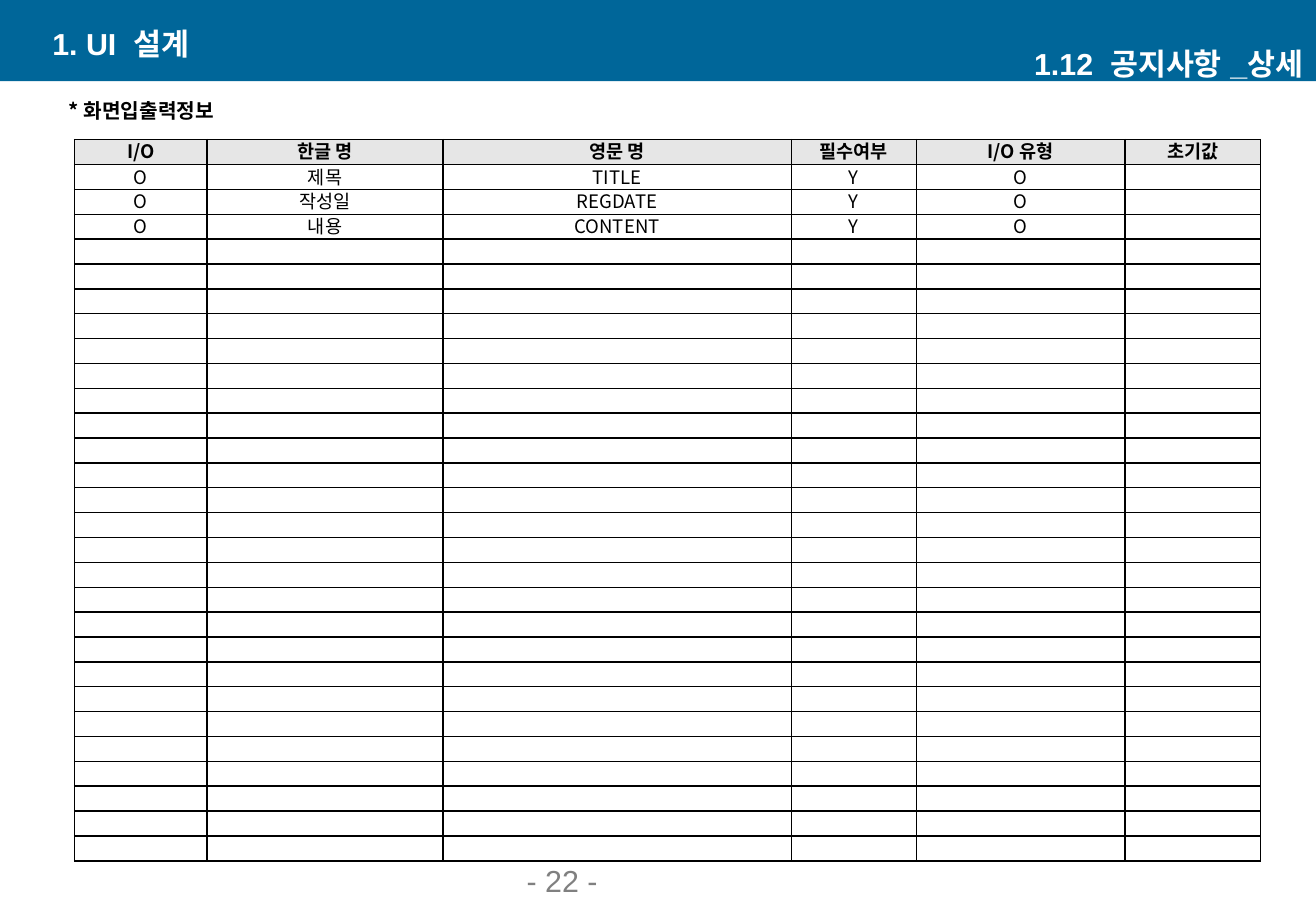
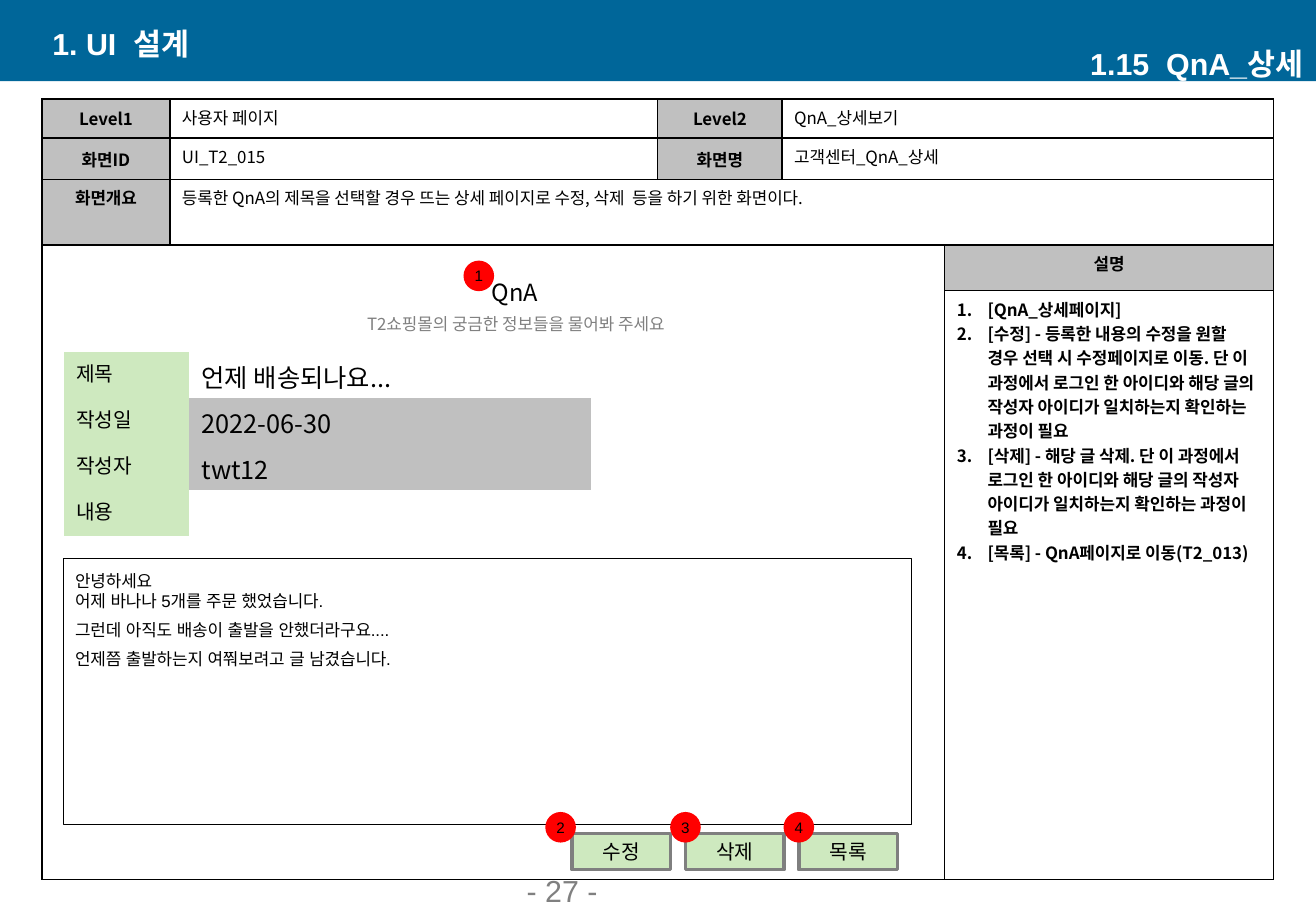
from copy import deepcopy

from lxml.etree import SubElement
from pptx import Presentation
from pptx.dml.color import RGBColor
from pptx.enum.shapes import MSO_SHAPE
from pptx.enum.text import MSO_ANCHOR as ANCHOR, PP_ALIGN as ALIGN
from pptx.oxml.ns import qn
from pptx.util import Cm, Pt

BLUE = RGBColor(0x00, 0x66, 0x99)
WHITE = RGBColor(0xFF, 0xFF, 0xFF)
BLACK = RGBColor(0x00, 0x00, 0x00)
GRAY = RGBColor(0x80, 0x80, 0x80)
EDGE = RGBColor(0x7F, 0x7F, 0x7F)
SILVER = RGBColor(0xC0, 0xC0, 0xC0)
PALE = RGBColor(0xE6, 0xE6, 0xE6)
GREEN = RGBColor(0xCE, 0xE9, 0xBF)
RED = RGBColor(0xFF, 0x00, 0x00)
LATIN, KOREAN = "Arial", "Noto Sans CJK KR"
NO_STYLE = "{2D5ABB26-0587-4C30-8999-92F81FD0307C}"


def write(holder, *texts, size=10, font=KOREAN, color=BLACK, bold=False,
          align=ALIGN.LEFT, anchor=None, line=None, gap=0, numbered=False):
    """Fill a shape or table cell with one paragraph per text."""
    frame = holder.text_frame
    frame.word_wrap = True
    if anchor is not None:
        holder_anchor = holder if hasattr(holder, "vertical_anchor") else frame
        holder_anchor.vertical_anchor = anchor
    for index, text in enumerate(texts):
        para = frame.add_paragraph() if index else frame.paragraphs[0]
        para.text = text
        para.alignment = align
        if line:
            para.line_spacing = Pt(line)
        if index and gap:
            para.space_before = Pt(gap)
        if numbered:
            props = para._p.get_or_add_pPr()
            props.set("marL", str(Cm(0.64)))
            props.set("indent", str(-Cm(0.64)))
            SubElement(props, qn("a:buAutoNum"), type="arabicPeriod")
        for span in para.runs:
            span.font.size, span.font.bold = Pt(size), bold
            span.font.color.rgb = color
            span.font.name = font
            span._r.rPr.set("kern", "0")
            SubElement(span._r.rPr, qn("a:ea"), typeface=font)
        for line_break in para._p.findall(qn("a:br")):
            line_break.append(deepcopy(para.runs[0]._r.rPr))
        if not text:
            SubElement(para._p, qn("a:endParaRPr"), sz=str(size * 100))


def add_grid(page, left, top, widths, heights, border=None):
    """Add an unstyled table, with 1 pt cell borders in the given colour."""
    table = page.shapes.add_table(len(heights), len(widths), Cm(left), Cm(top),
                                  Cm(sum(widths)), Cm(sum(heights))).table
    table._tbl.tblPr.find(qn("a:tableStyleId")).text = NO_STYLE
    table.horz_banding = False
    for column, width in zip(table.columns, widths):
        column.width = Cm(width)
    for row, height in zip(table.rows, heights):
        row.height = Cm(height)
    if border is not None:
        for cell in table.iter_cells():
            props = cell._tc.get_or_add_tcPr()
            for side in ("a:lnL", "a:lnR", "a:lnT", "a:lnB"):
                edge = SubElement(props, qn(side), w=str(Pt(1)))
                fill = SubElement(edge, qn("a:solidFill"))
                SubElement(fill, qn("a:srgbClr"), val=str(border))
    return table


deck = Presentation()
deck.slide_width, deck.slide_height = Cm(27.51), Cm(19.05)

# Shared layout: title position
layout = deck.slide_layouts[5]
heading = layout.placeholders[0]
heading.left, heading.top = Cm(0.84), Cm(0.48)
heading.width, heading.height = Cm(11.13), Cm(0.84)

# Shared page parts: title, screen name, page number
pages = []
for screen, number, number_top in (("1.12  공지사항 _상세", "- 22 -", 18.13),
                                   ("1.15  QnA_상세", "- 27 -", 18.33)):
    page = deck.slides.add_slide(layout)
    write(page.shapes.title, "1. UI  설계", size=18, font=LATIN, color=WHITE,
          bold=True, anchor=ANCHOR.MIDDLE)
    box = page.shapes.add_textbox(Cm(16.36), Cm(0.91), Cm(11.13), Cm(0.84))
    write(box, screen, size=18, font=LATIN, color=WHITE, bold=True,
          align=ALIGN.RIGHT, anchor=ANCHOR.MIDDLE)
    box = page.shapes.add_textbox(Cm(10.76), Cm(number_top), Cm(5.74), Cm(0.79))
    write(box, number, size=18, font=LATIN, color=GRAY, anchor=ANCHOR.BOTTOM)
    pages.append(page)
fields_page, screen_page = pages

# Band, moved into the layout behind its placeholders
band = fields_page.shapes.add_shape(MSO_SHAPE.RECTANGLE, 0, 0, deck.slide_width, Cm(1.7))
band.shadow.inherit = False
band.fill.solid()
band.fill.fore_color.rgb = BLUE
band.line.fill.background()
layout.element.cSld.spTree.insert(2, band.element)

# Slide 1: input and output fields
box = fields_page.shapes.add_textbox(Cm(1.19), Cm(1.94), Cm(3.86), Cm(0.74))
write(box, "* 화면입출력정보", size=12, bold=True)
box.text_frame.word_wrap = False

field_rows = [
    ("I/O", "한글 명", "영문 명", "필수여부", "I/O 유형", "초기값"),
    ("O", "제목", "TITLE", "Y", "O", ""),
    ("O", "작성일", "REGDATE", "Y", "O", ""),
    ("O", "내용", "CONTENT", "Y", "O", ""),
]
row_count = 29
field_rows += [("",) * 6] * (row_count - len(field_rows))
table = add_grid(fields_page, 1.56, 2.92, [2.77, 4.93, 7.28, 2.62, 4.36, 2.83],
                 [0.52] * row_count, border=BLACK)
for row_index, values in enumerate(field_rows):
    for column_index, value in enumerate(values):
        cell = table.cell(row_index, column_index)
        cell.margin_top = cell.margin_bottom = 0
        is_header = row_index == 0
        write(cell, value, size=11 if value else 8, bold=is_header,
              align=ALIGN.CENTER, line=14,
              anchor=ANCHOR.MIDDLE if is_header else ANCHOR.BOTTOM)
        if is_header:
            cell.fill.solid()
            cell.fill.fore_color.rgb = PALE

# Slide 2: screen frame
table = add_grid(screen_page, 0.88, 2.07, [2.67, 10.2, 2.6, 3.4, 6.87],
                 [0.82, 0.86, 1.37, 0.96, 12.31], border=BLACK)
for first, last in (((0, 3), (0, 4)), ((1, 3), (1, 4)),
                    ((2, 1), (2, 4)), ((3, 0), (4, 3))):
    table.cell(*first).merge(table.cell(*last))
for row, column, text, anchor in (
        (0, 0, "Level1", ANCHOR.MIDDLE), (0, 2, "Level2", ANCHOR.MIDDLE),
        (1, 0, "화면ID", ANCHOR.MIDDLE), (1, 2, "화면명", ANCHOR.MIDDLE),
        (2, 0, "화면개요", ANCHOR.TOP), (3, 4, "설명", ANCHOR.TOP)):
    cell = table.cell(row, column)
    write(cell, text, bold=True, align=ALIGN.CENTER, anchor=anchor)
    cell.fill.solid()
    cell.fill.fore_color.rgb = SILVER
for row, column, text in (
        (0, 1, "사용자 페이지"), (0, 3, "QnA_상세보기"),
        (1, 1, "UI_T2_015"), (1, 3, "고객센터_QnA_상세"),
        (2, 1, "등록한 QnA의 제목을 선택할 경우 뜨는 상세 페이지로 수정, 삭제  등을 "
               "하기 위한 화면이다.")):
    write(table.cell(row, column), text)
login_check = ("단 이 과정에서 로그인 한 아이디와 해당 글의 작성자 아이디가 "
               "일치하는지 확인하는 과정이 필요")
write(table.cell(4, 4), "[QnA_상세페이지]",
      f"[수정] - 등록한 내용의 수정을 원할 경우 선택 시 수정페이지로 이동. {login_check}",
      f"[삭제] - 해당 글 삭제. {login_check}",
      "[목록] - QnA페이지로 이동(T2_013)", bold=True, numbered=True)

# Mock screen: heading
box = screen_page.shapes.add_textbox(Cm(9.22), Cm(5.69), Cm(3.1), Cm(1.09))
write(box, "QnA", size=14, align=ALIGN.CENTER)
box = screen_page.shapes.add_textbox(Cm(5.08), Cm(6.43), Cm(11.4), Cm(0.69))
write(box, "T2쇼핑몰의 궁금한 정보들을 물어봐 주세요", color=GRAY, align=ALIGN.CENTER)

# Mock screen: post details
details = [("제목", "언제 배송되나요...", None), ("작성일", "2022-06-30", SILVER),
           ("작성자", "twt12", SILVER), ("내용", "", None)]
table = add_grid(screen_page, 1.34, 7.36, [2.62, 8.4], [0.96] * len(details))
for row, (label, value, value_fill) in enumerate(details):
    for column, (text, size, fill) in enumerate(((label, 12, GREEN), (value, 15, value_fill))):
        cell = table.cell(row, column)
        cell.margin_top, cell.margin_bottom = Cm(0.13), 0
        write(cell, text, size=size)
        if fill is not None:
            cell.fill.solid()
            cell.fill.fore_color.rgb = fill

# Mock screen: message, buttons and numbered markers
RECT, OVAL = MSO_SHAPE.RECTANGLE, MSO_SHAPE.OVAL
message = ("안녕하세요\v어제 바나나 5개를 주문 했었습니다.",
           "그런데 아직도 배송이 출발을 안했더라구요....",
           "언제쯤 출발하는지 여쭤보려고 글 남겼습니다.")
parts = [(RECT, 1.32, 11.68, 17.73, 5.55, WHITE, (BLACK, 0.25), message)]
for index, label in enumerate(("수정", "삭제", "목록")):
    parts.append((RECT, 11.96 + 2.37 * index, 17.43, 2.06, 0.76, GREEN, (EDGE, 2), (label,)))
for number, (left, top) in enumerate(((9.69, 5.45), (11.4, 16.98),
                                      (14.01, 16.98), (16.38, 16.98)), 1):
    parts.append((OVAL, left, top, 0.64, 0.64, RED, None, (str(number),)))
for kind, left, top, width, height, fill, outline, texts in parts:
    shape = screen_page.shapes.add_shape(kind, Cm(left), Cm(top), Cm(width), Cm(height))
    shape.shadow.inherit = False
    shape.fill.solid()
    shape.fill.fore_color.rgb = fill
    if outline:
        shape.line.color.rgb, shape.line.width = outline[0], Pt(outline[1])
    else:
        shape.line.fill.background()
    frame = shape.text_frame
    if texts is message:
        frame.margin_top = Cm(0.25)
        write(shape, *texts, font=LATIN, gap=5, anchor=ANCHOR.TOP)
        continue
    if kind == OVAL:
        frame.margin_left = frame.margin_right = frame.margin_top = frame.margin_bottom = 0
    write(shape, *texts, size=9 if kind == OVAL else 12, font=LATIN,
          align=ALIGN.CENTER, anchor=ANCHOR.MIDDLE)

deck.save("out.pptx")
